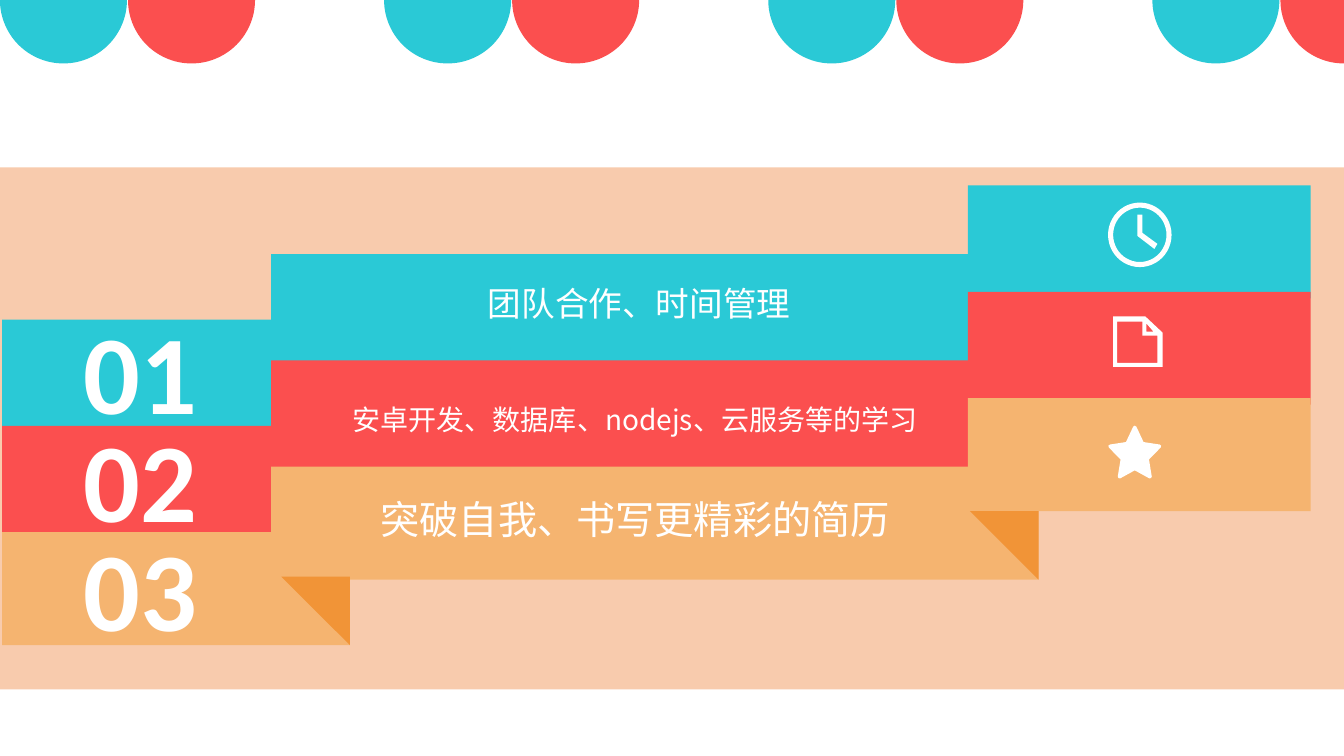
from math import cos, pi, sin

from lxml import etree
from pptx import Presentation
from pptx.dml.color import RGBColor
from pptx.enum.shapes import MSO_SHAPE
from pptx.enum.text import MSO_ANCHOR, PP_ALIGN
from pptx.oxml.ns import qn
from pptx.util import Inches, Pt

RECT = MSO_SHAPE.RECTANGLE
FOLD = MSO_SHAPE.RIGHT_TRIANGLE
RING = MSO_SHAPE.DONUT
STAR = MSO_SHAPE.STAR_5_POINT
TOP = MSO_ANCHOR.TOP
LEFT, MID = PP_ALIGN.LEFT, PP_ALIGN.CENTER

COLORS = {"teal": "2AC9D6", "red": "FB4F4F", "gold": "F5B470",
          "fold": "F19437", "peach": "F8CBAD", "white": "FFFFFF"}
ROWS = ("teal", "red", "gold")
LATIN, HAN = "Calibri", "Noto Sans CJK SC"
PITCH, BAR = 1.055, 1.12
FOLD_SIZE = 0.68


def color(name):
    return RGBColor.from_string(COLORS[name])


def paint(shape, name):
    shape.shadow.inherit = False
    shape.fill.solid()
    shape.fill.fore_color.rgb = color(name)
    shape.line.fill.background()
    return shape


def add(slide, kind, x, y, w, h, name):
    box = [Inches(v) for v in (x, y, w, h)]
    return paint(slide.shapes.add_shape(kind, *box), name)


def outline(slide, x, y, loops, name):
    """Draw closed loops of points measured from (x, y)."""
    loops = [[(Inches(x + a), Inches(y + b)) for a, b in loop] for loop in loops]
    pen = slide.shapes.build_freeform(*loops[0][0])
    pen.add_line_segments(loops[0][1:])
    for loop in loops[1:]:
        pen.move_to(*loop[0])
        pen.add_line_segments(loop[1:])
    return paint(pen.convert_to_shape(), name)


def label(slide, x, y, w, h, text, size, font=HAN, align=MID, bold=False, lead=None):
    box = slide.shapes.add_textbox(*[Inches(v) for v in (x, y, w, h)])
    frame = box.text_frame
    frame.word_wrap = align == MID
    frame.vertical_anchor = TOP
    para = frame.paragraphs[0]
    para.alignment = align
    if lead:
        para.line_spacing = Pt(lead)
    run = para.add_run()
    run.text = text
    run.font.size = Pt(size)
    run.font.bold = bold
    run.font.name = font
    run.font.color.rgb = color("white")
    east = etree.SubElement(run.font._element, qn("a:ea"))
    east.set("typeface", HAN)


def awning(slide, x, y, step):
    """Pairs of half discs, with every third place left empty."""
    r = 0.63
    arc = [(r + r * cos(pi * i / 60), r * sin(pi * i / 60)) for i in range(61)]
    for place in range(11):
        if place % 3 < 2:
            outline(slide, x + place * step, y, [arc], ROWS[place % 3])


def stack(slide, x, y, w):
    for row, name in enumerate(ROWS):
        add(slide, RECT, x, y + row * PITCH, w, BAR, name)


def fold(slide, x, y):
    add(slide, FOLD, x, y, FOLD_SIZE, FOLD_SIZE, "fold").rotation = 180


def numbers(slide, x, y):
    for row in range(3):
        label(slide, x, y + row * 1.075, 1.34, 1.45, f"{row + 1:02}", 80,
              LATIN, LEFT, True)


def goals(slide, x, y, w):
    lines = ((0.04, 0, "团队合作、时间管理", 24, HAN),
             (0, 1.12, "安卓开发、数据库、nodejs、云服务等的学习", 20, HAN),
             (0, 2.17, "突破自我、书写更精彩的简历", 28, LATIN))
    for dx, dy, text, size, font in lines:
        label(slide, x + dx, y + dy, w, 0.47, text, size, font, lead=26.6)


def clock(slide, x, y):
    ring = add(slide, RING, x, y, 0.63, 0.64, "white")
    ring.adjustments[0] = 0.08
    hands = [(0.29, 0.12), (0.34, 0.12), (0.34, 0.3),
             (0.49, 0.41), (0.46, 0.46), (0.29, 0.33)]
    outline(slide, x, y, [hands], "white")


def page(slide, x, y):
    edge = [(0, 0), (0.32, 0), (0.49, 0.16), (0.49, 0.5), (0, 0.5)]
    inner = [(0.04, 0.05), (0.29, 0.05), (0.29, 0.19), (0.44, 0.19),
             (0.44, 0.46), (0.04, 0.46)]
    corner = [(0.33, 0.07), (0.4, 0.15), (0.33, 0.15)]
    outline(slide, x, y, [edge, inner, corner], "white")


def star(slide, x, y):
    shape = add(slide, STAR, x + 0.02, y + 0.02, 0.49, 0.49, "white")
    shape.adjustments[0] = 0.25
    shape.line.color.rgb = color("white")
    shape.line.width = Pt(2.5)


def icons(slide, x, y):
    clock(slide, x, y)
    page(slide, x + 0.05, y + 1.13)
    star(slide, x, y + 2.21)


def main():
    deck = Presentation()
    deck.slide_width, deck.slide_height = Inches(13.33), Inches(7.5)
    slide = deck.slides.add_slide(deck.slide_layouts[6])

    # Backdrop
    add(slide, RECT, 0, 1.66, 13.33, 5.18, "peach")

    # Ribbon, left to right, with its folds
    stack(slide, 0.02, 3.17, 3.45)
    stack(slide, 2.69, 2.52, 7.61)
    fold(slide, 2.79, 5.72)
    numbers(slide, 0.73, 2.95)
    goals(slide, 2.97, 2.79, 6.66)
    stack(slide, 9.6, 1.84, 3.4)
    icons(slide, 10.99, 2.01)
    fold(slide, 9.62, 5.07)

    # Awning along the top edge
    awning(slide, 0, 0, 1.27)
    deck.save("out.pptx")


if __name__ == "__main__":
    main()
